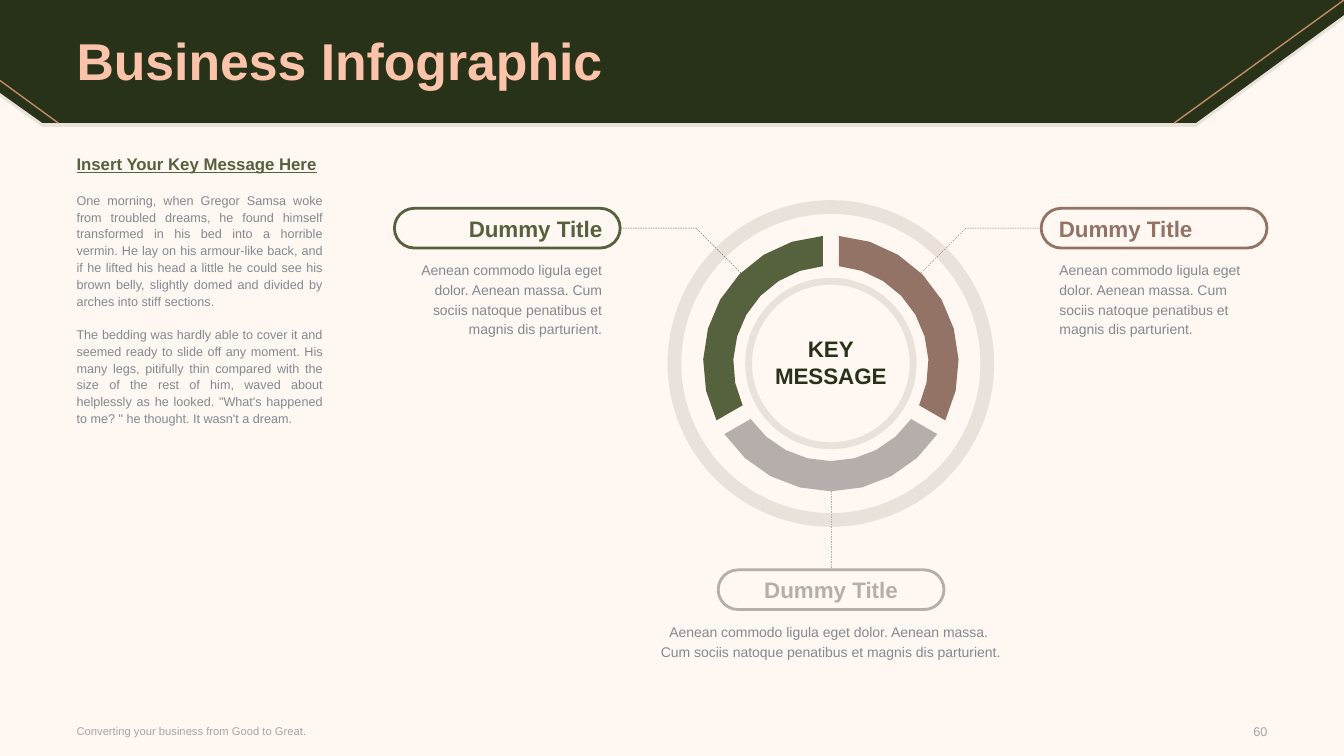
"""Build a business infographic slide: a three-part ring with callouts."""
from math import asin, cos, radians, sin

from lxml.etree import SubElement
from pptx import Presentation
from pptx.dml.color import RGBColor as Rgb
from pptx.enum.dml import MSO_LINE as Dash
from pptx.enum.shapes import MSO_CONNECTOR as Link, MSO_SHAPE as Kind
from pptx.enum.text import MSO_ANCHOR as Anchor, PP_ALIGN as Align
from pptx.oxml.ns import qn
from pptx.util import Cm, Pt

CREAM = Rgb(0xFF, 0xF7, 0xF2)
DARK = Rgb(0x28, 0x32, 0x18)
PEACH = Rgb(0xFB, 0xC4, 0xAA)
COPPER = Rgb(0xBF, 0x8C, 0x68)
GREEN = Rgb(0x56, 0x61, 0x3D)
BROWN = Rgb(0x92, 0x73, 0x65)
TAUPE = Rgb(0xB6, 0xAE, 0xAB)
GREY = Rgb(0x85, 0x89, 0x8F)
PALE = Rgb(0xA6, 0xA6, 0xA6)

deck = Presentation()
deck.slide_width, deck.slide_height = Cm(33.87), Cm(19.05)
slide = deck.slides.add_slide(deck.slide_layouts[6])
slide.background.fill.solid()
slide.background.fill.fore_color.rgb = CREAM
shapes = slide.shapes


def write(shape, lines, size, color, align=Align.LEFT, bold=False,
          pitch=None, anchor=Anchor.TOP, inset=0):
    frame = shape.text_frame
    frame.word_wrap = True
    frame.vertical_anchor = anchor
    frame.margin_left = frame.margin_right = Cm(inset)
    frame.margin_top = frame.margin_bottom = 0
    frame.text = "\n".join(lines)
    for para in frame.paragraphs:
        para.alignment = align
        para.line_spacing = pitch
        font = para.font
        font.name, font.size, font.bold = "Arial", Pt(size), bold
        font.color.rgb = color
    return frame


def trace(points, color, close=True):
    spots = [(Cm(x), Cm(y)) for x, y in points]
    pen = shapes.build_freeform(*spots[0])
    pen.add_line_segments(spots[1:], close=close)
    shape = pen.convert_to_shape()
    shape.shadow.inherit = False
    if close:
        shape.fill.solid()
        shape.fill.fore_color.rgb = color
        shape.line.fill.background()
    else:
        shape.fill.background()
        shape.line.color.rgb = color
        shape.line.width = Pt(0.25)
        shape.line.dash_style = Dash.DASH
    return shape


band = [(30.14, 3.1), (1.07, 3.1), (0, 2.34), (0, 0), (33.87, 0), (33.87, 0.38)]
faint = [trace([(x, y + 0.1) for x, y in band], DARK)]
trace(band, DARK)

mid_x, mid_y = 20.94, 9.16
for size, rim in ((4.32, 0.04), (8.23, 0.042)):
    ring = shapes.add_shape(Kind.DONUT, Cm(mid_x - size / 2),
                            Cm(mid_y - size / 2), Cm(size), Cm(size))
    ring.adjustments[0] = rim
    ring.shadow.inherit = False
    ring.fill.solid()
    ring.fill.fore_color.rgb = DARK
    ring.line.fill.background()
    faint.append(ring)
for shape in faint:
    tint = shape.element.spPr.find(qn("a:solidFill"))[0]
    SubElement(tint, qn("a:alpha"), val="10000")

outer, inner, gap, steps = 3.22, 2.46, 0.2, 8
for start, color in ((30, TAUPE), (150, GREEN), (270, BROWN)):
    arc = []
    for radius, order in ((outer, range(steps + 1)),
                          (inner, range(steps, -1, -1))):
        trim = asin(gap / radius)
        sweep = radians(120) - 2 * trim
        for step in order:
            angle = radians(start) + trim + sweep * step / steps
            arc.append((mid_x + radius * cos(angle), mid_y + radius * sin(angle)))
    trace(arc, color)

lead = [(18.67, 6.88), (17.54, 5.75), (15.7, 5.75)]
trace(lead, GREEN, close=False)
trace([(2 * mid_x - x, y) for x, y in lead], BROWN, close=False)

for x1, y1, x2, y2, color, width in (
        (33.87, 0, 29.59, 3.1, COPPER, 1),
        (0, 2.03, 1.47, 3.1, COPPER, 1),
        (mid_x, 12.38, mid_x, 14.35, TAUPE, 0.25)):
    line = shapes.add_connector(Link.STRAIGHT, Cm(x1), Cm(y1), Cm(x2), Cm(y2))
    line.line.color.rgb = color
    line.line.width = Pt(width)
    if width < 1:
        line.line.dash_style = Dash.DASH
    SubElement(line.element.spPr, qn("a:effectLst"))

first = "Aenean commodo ligula eget dolor. Aenean massa. "
last = "Cum sociis natoque penatibus et magnis dis parturient."
whole = [first + last]
for x, y, color, align, left, wide, lines in (
        (18.1, 14.36, TAUPE, Align.CENTER, 16.43, 9, [first, last]),
        (9.94, 5.25, GREEN, Align.RIGHT, 10.27, 4.9, whole),
        (26.24, 5.25, BROWN, Align.LEFT, 26.7, 4.9, whole)):
    pill = shapes.add_shape(Kind.ROUNDED_RECTANGLE, Cm(x), Cm(y), Cm(5.69), Cm(1))
    pill.adjustments[0] = 0.5
    pill.shadow.inherit = False
    pill.fill.background()
    pill.line.color.rgb = color
    pill.line.width = Pt(2)
    write(pill, ["Dummy Title"], 16, color, align, True,
          anchor=Anchor.MIDDLE, inset=0.3)
    note = shapes.add_textbox(Cm(left), Cm(y + 1.28), Cm(wide), Cm(len(lines)))
    write(note, lines, 10, GREY, align, pitch=Pt(14))

core = shapes.add_textbox(Cm(18.59), Cm(8.44), Cm(4.7), Cm(1.37))
write(core, ["KEY", "MESSAGE"], 16, DARK, Align.CENTER, True)

title = shapes.add_textbox(Cm(1.93), Cm(0.11), Cm(30), Cm(2.97))
write(title, ["Business Infographic"], 37, PEACH, bold=True, pitch=0.9,
      anchor=Anchor.MIDDLE)

story = shapes.add_textbox(Cm(1.93), Cm(3.97), Cm(6.2), Cm(13.18))
frame = write(story, [
    "Insert Your Key Message Here",
    "One morning, when Gregor Samsa woke from troubled dreams, he found himself "
    "transformed in his bed into a horrible vermin. He lay on his armour-like "
    "back, and if he lifted his head a little he could see his brown belly, "
    "slightly domed and divided by arches into stiff sections.",
    "The bedding was hardly able to cover it and seemed ready to slide off any "
    "moment. His many legs, pitifully thin compared with the size of the rest of "
    "him, waved about helplessly as he looked. \"What's happened to me? \" he "
    "thought. It wasn't a dream.",
], 9, GREY, Align.JUSTIFY, pitch=Pt(12))
for para in frame.paragraphs[:2]:
    para.space_after = Pt(12)
head = frame.paragraphs[0].font
head.size, head.bold, head.underline = Pt(12), True, True
head.color.rgb = GREEN

for x, wide, text, size, align in (
        (1.93, 13.28, "Converting your business from Good to Great.", 8, Align.LEFT),
        (30.34, 1.6, "60", 9, Align.RIGHT)):
    foot = shapes.add_textbox(Cm(x), Cm(18.1), Cm(wide), Cm(0.66))
    write(foot, [text], size, PALE, align, anchor=Anchor.MIDDLE)

deck.save("out.pptx")
